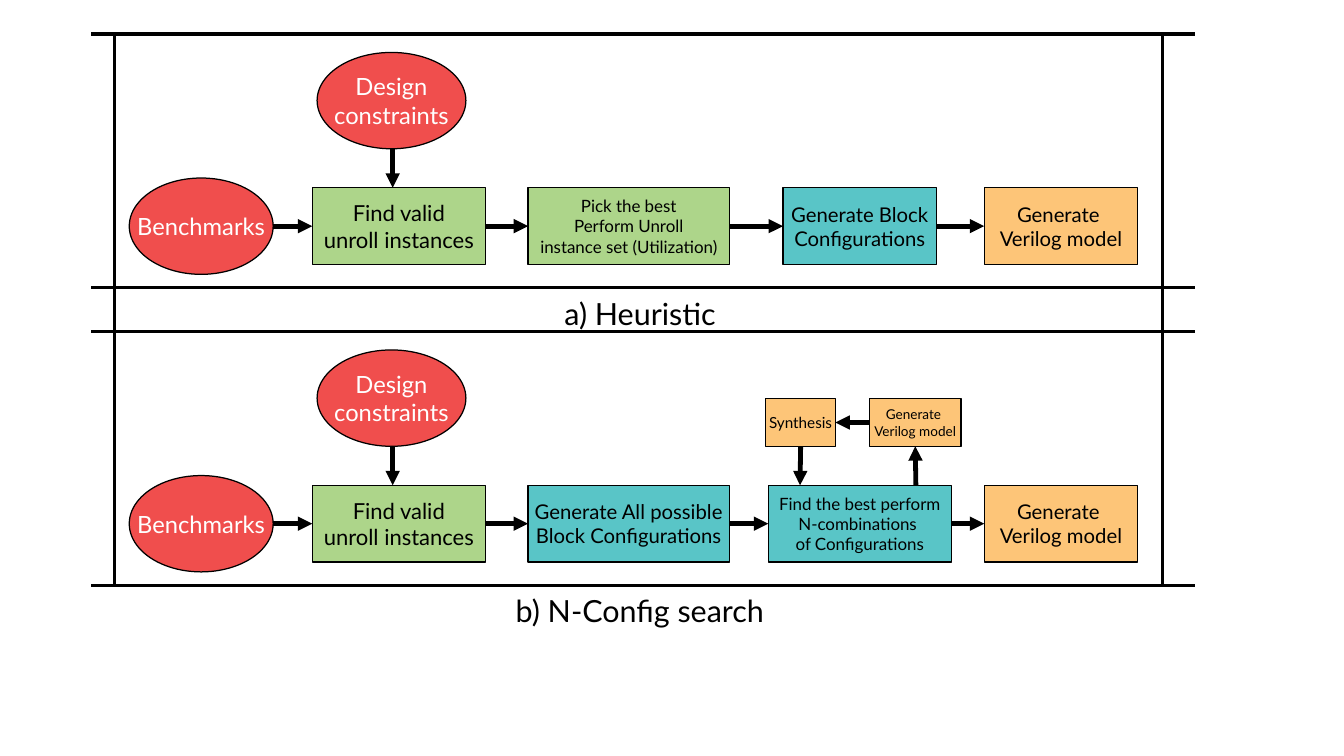
"""Draw two block flows, a heuristic one and a search one, in ruled panels."""
from lxml import etree
from pptx import Presentation
from pptx.dml.color import RGBColor
from pptx.enum.shapes import MSO_CONNECTOR, MSO_SHAPE
from pptx.enum.text import MSO_ANCHOR, MSO_AUTO_SIZE, PP_ALIGN
from pptx.oxml.ns import qn
from pptx.util import Inches, Pt

RECT, OVAL = MSO_SHAPE.RECTANGLE, MSO_SHAPE.OVAL
STRAIGHT = MSO_CONNECTOR.STRAIGHT
MIDDLE, CENTER, LEFT = MSO_ANCHOR.MIDDLE, PP_ALIGN.CENTER, PP_ALIGN.LEFT
FIT = MSO_AUTO_SIZE.SHAPE_TO_FIT_TEXT
TOP, WEST, BOTTOM, EAST = range(4)

COLORS = {"red": "F04E4D", "green": "ADD58A", "teal": "59C5C7",
          "orange": "FDC578", "black": "000000", "white": "FFFFFF"}
FRAME = (0.94, 0.28, 8.59, 4.52)
PANEL, STEP = 2.08, 2.44
ROW, HIGH = 1.26, 0.63
FIND = (1.62, 1.42, "green", 13, "Find valid\vunroll instances")
MODEL = (7.13, 1.26, "orange", 12, "Generate \vVerilog model")
HEURISTIC = [
    FIND,
    (3.39, 1.65, "green", 10,
     "Pick the best\nPerform Unroll\ninstance set (Utilization)"),
    (5.48, 1.26, "teal", 12, "Generate Block\vConfigurations"),
    MODEL]
SEARCH = [
    FIND,
    (3.39, 1.65, "teal", 12, "Generate All possible\vBlock Configurations"),
    (5.36, 1.5, "teal", 10,
     "Find the best perform\vN-combinations \vof Configurations"),
    MODEL]


def color(name):
    """Return the named colour."""
    return RGBColor.from_string(COLORS[name])


def write(frame, text, size, ink="black", align=CENTER):
    """Fill a text frame with evenly formatted paragraphs."""
    frame.text = text
    look = {"name": "Lato", "size": Pt(size)}
    for para in frame.paragraphs:
        para.alignment = align
        for run in para.runs:
            for key, value in look.items():
                setattr(run.font, key, value)
            run.font.color.rgb = color(ink)


def block(slide, kind, box, fill, size, text):
    """Add a filled, thinly outlined shape with centred text."""
    shape = slide.shapes.add_shape(kind, *map(Inches, box))
    shape.shadow.inherit = False
    shape.fill.solid()
    shape.fill.fore_color.rgb = color(fill)
    shape.line.color.rgb = color("black")
    shape.line.width = Pt(0)
    frame = shape.text_frame
    for key, value in {"word_wrap": False, "vertical_anchor": MIDDLE}.items():
        setattr(frame, key, value)
    write(frame, text, size, "white" if kind == OVAL else "black")
    return shape


def line(slide, start, end, width=0):
    """Add a plain black line."""
    rule = slide.shapes.add_connector(STRAIGHT, *map(Inches, start + end))
    rule.line.color.rgb = color("black")
    rule.line.width = Pt(width)
    etree.SubElement(rule._element.spPr, qn("a:effectLst"))
    return rule


def arrow(slide, start, end, tail=None, head=None):
    """Add a thick arrow, joined to the (shape, side) pairs given."""
    link = line(slide, start, end, 2.83)
    tip = etree.SubElement(link.line._get_or_add_ln(), qn("a:tailEnd"))
    tip.set("type", "triangle")
    if tail:
        link.begin_connect(*tail)
    if head:
        link.end_connect(*head)


def panel(slide, left, top, steps, title, inset):
    """Add one flow with its inputs and caption; return its step shapes."""
    mid = top + ROW + HIGH / 2
    block(slide, OVAL, (left + 1.66, top + 0.15, 1.22, 0.79),
          "red", 14, "Design\vconstraints")
    block(slide, OVAL, (left + 0.12, top + 1.18, 1.18, 0.79),
          "red", 14, "Benchmarks")
    shapes = [block(slide, RECT, (left + x, top + ROW, wide, HIGH), *rest)
              for x, wide, *rest in steps]
    arrow(slide, (left + 2.28, top + 0.94), (left + 2.28, top + ROW))
    arrow(slide, (left + 1.3, mid), (left + 1.62, mid), head=(shapes[0], WEST))
    for prev, item in zip(shapes, shapes[1:]):
        arrow(slide, (left, mid), (left, mid), (prev, EAST), (item, WEST))
    box = (left + inset, top + PANEL + 0.01, 2.44, 0.44)
    label = slide.shapes.add_textbox(*map(Inches, box))
    label.text_frame.word_wrap = True
    label.text_frame.auto_size = FIT
    write(label.text_frame, title, 18, align=LEFT)
    return shapes


def loop(slide, left, top):
    """Add the synthesis loop above the search step."""
    low = top + 0.39
    synth = block(slide, RECT, (left, top, 0.57, 0.39),
                  "orange", 9, "Synthesis")
    model = block(slide, RECT, (left + 0.85, top, 0.75, 0.39),
                  "orange", 8, "Generate \vVerilog model")
    arrow(slide, (left, low), (left + 0.28, low + 0.32), tail=(synth, BOTTOM))
    arrow(slide, (left + 1.23, low + 0.32), (left, low), head=(model, BOTTOM))
    arrow(slide, (left, low), (left, low), (model, WEST), (synth, EAST))


def rules(slide, left, top, wide, high):
    """Add the ruled lines that bound both panels."""
    for x in (left, left + wide):
        line(slide, (x, top), (x, top + high))
    for start in (top, top + STEP):
        for y in (start, start + PANEL):
            line(slide, (left - 0.19, y), (left + wide + 0.27, y))


def main():
    """Build and save the slide."""
    deck = Presentation()
    deck.slide_width, deck.slide_height = Inches(11.02), Inches(6.2)
    slide = deck.slides.add_slide(deck.slide_layouts[6])
    left, top = FRAME[:2]
    panel(slide, left, top, HEURISTIC, "a) Heuristic", 3.59)
    panel(slide, left, top + STEP, SEARCH, "b) N-Config search", 3.19)
    loop(slide, left + 5.34, top + STEP + 0.55)
    rules(slide, *FRAME)
    deck.save("out.pptx")


if __name__ == "__main__":
    main()
